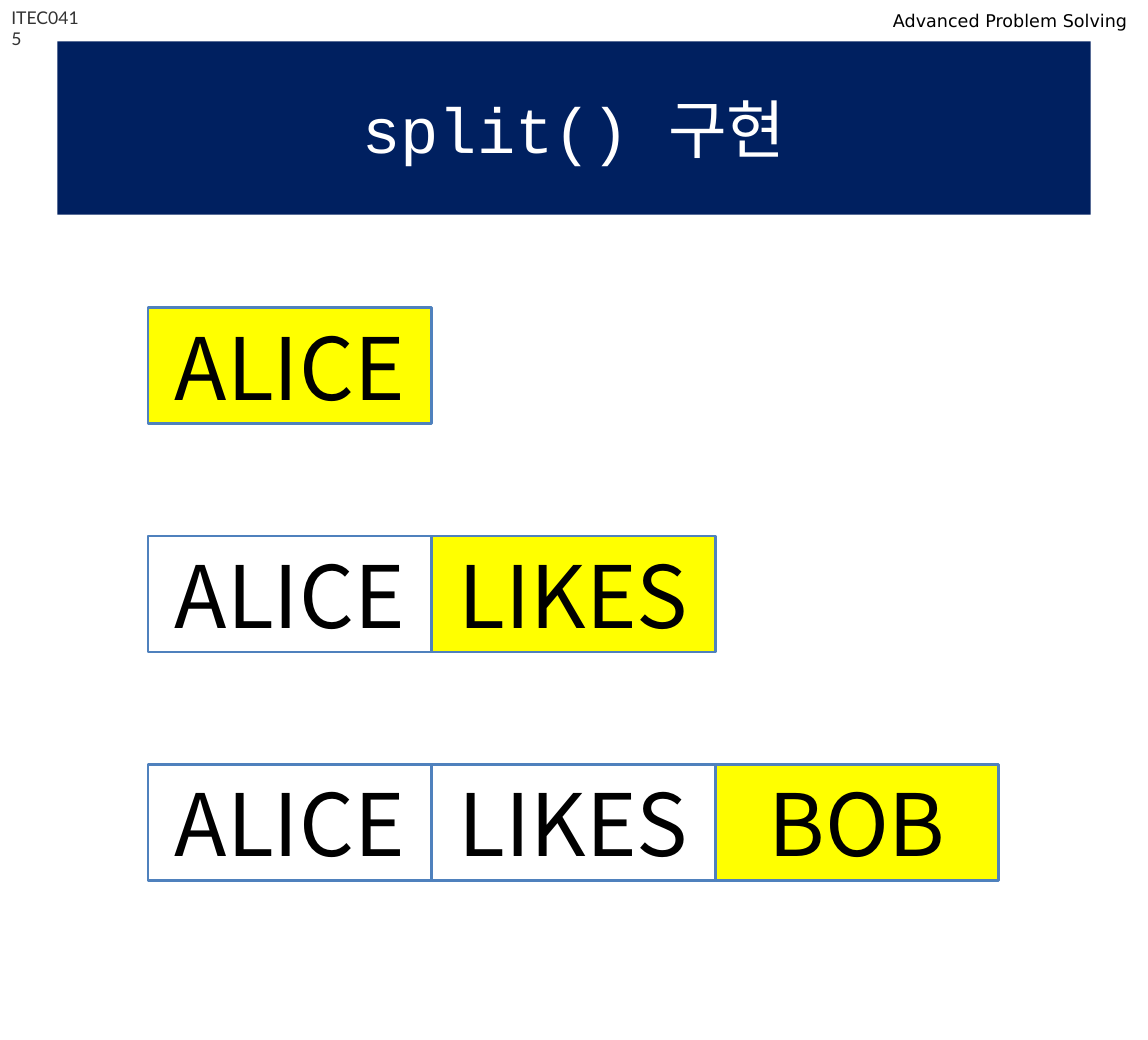
from lxml import etree
from pptx import Presentation
from pptx.dml.color import RGBColor
from pptx.enum.shapes import MSO_SHAPE
from pptx.enum.text import MSO_ANCHOR, PP_ALIGN
from pptx.oxml.ns import qn
from pptx.util import Inches, Pt

RECTANGLE = MSO_SHAPE.RECTANGLE
MIDDLE = MSO_ANCHOR.MIDDLE
CENTER = PP_ALIGN.CENTER

NAVY = RGBColor(0x00, 0x20, 0x60)
YELLOW = RGBColor(0xFF, 0xFF, 0x00)
WHITE = RGBColor(0xFF, 0xFF, 0xFF)
BLACK = RGBColor(0x00, 0x00, 0x00)
GRAY = RGBColor(0x33, 0x33, 0x33)
BLUE = RGBColor(0x4F, 0x81, 0xBD)

WORDS = ["ALICE", "LIKES", "BOB"]
CELL_LEFT, CELL_TOP = 1.29, 2.68
CELL_WIDTH, CELL_HEIGHT = 2.47, 1.01
ROW_STEP = 1.99


def add_run(paragraph, text, font_name, size, color):
    run = paragraph.add_run()
    run.text = text
    font_format = {"name": font_name, "size": Pt(size)}
    for attribute, value in font_format.items():
        setattr(run.font, attribute, value)
    run.font.color.rgb = color
    east_asian = etree.SubElement(run.font._element, qn("a:ea"))
    east_asian.set("typeface", font_name)


def style_box(shape, fill):
    """Fill the shape and centre its text both ways."""
    shape.fill.solid()
    shape.fill.fore_color.rgb = fill
    frame_format = {"word_wrap": True, "vertical_anchor": MIDDLE}
    for attribute, value in frame_format.items():
        setattr(shape.text_frame, attribute, value)
    paragraph = shape.text_frame.paragraphs[0]
    paragraph.alignment = CENTER
    return paragraph


def add_title(slide):
    title = slide.shapes.title
    title.left, title.top = Inches(0.5), Inches(0.36)
    title.width, title.height = Inches(9), Inches(1.51)
    paragraph = style_box(title, NAVY)
    add_run(paragraph, "split() ", "Courier New", 40, WHITE)
    add_run(paragraph, "구현", "DejaVu Sans", 40, WHITE)


def add_label(slide, text, left, top, width, font_name, color):
    label = slide.shapes.add_textbox(
        Inches(left), Inches(top), Inches(width), Inches(0.29))
    label.text_frame.word_wrap = True
    add_run(label.text_frame.paragraphs[0], text, font_name, 11, color)


def add_cell(slide, word, left, top, fill):
    cell = slide.shapes.add_shape(
        RECTANGLE, Inches(left), Inches(top),
        Inches(CELL_WIDTH), Inches(CELL_HEIGHT))
    cell.shadow.inherit = False
    cell.line.color.rgb = BLUE
    cell.line.width = Pt(1.75)
    paragraph = style_box(cell, fill)
    add_run(paragraph, word, "Noto Sans CJK KR", 54, BLACK)


def add_word_rows(slide):
    """Each row holds one word more; the newest word is highlighted."""
    for row in range(len(WORDS)):
        for column, word in enumerate(WORDS[:row + 1]):
            add_cell(slide, word,
                     CELL_LEFT + column * CELL_WIDTH,
                     CELL_TOP + row * ROW_STEP,
                     YELLOW if column == row else WHITE)


def main():
    presentation = Presentation()
    presentation.slide_width = Inches(10)
    presentation.slide_height = Inches(9.06)
    title_only_layout = presentation.slide_layouts[5]
    slide = presentation.slides.add_slide(title_only_layout)
    add_title(slide)
    add_label(slide, "ITEC0415", 0, 0.01, 0.79, "Lato", GRAY)
    add_label(slide, "Advanced Problem Solving", 7.68, 0.04, 2.32,
              "DejaVu Sans", BLACK)
    add_word_rows(slide)
    presentation.save("out.pptx")


if __name__ == "__main__":
    main()
